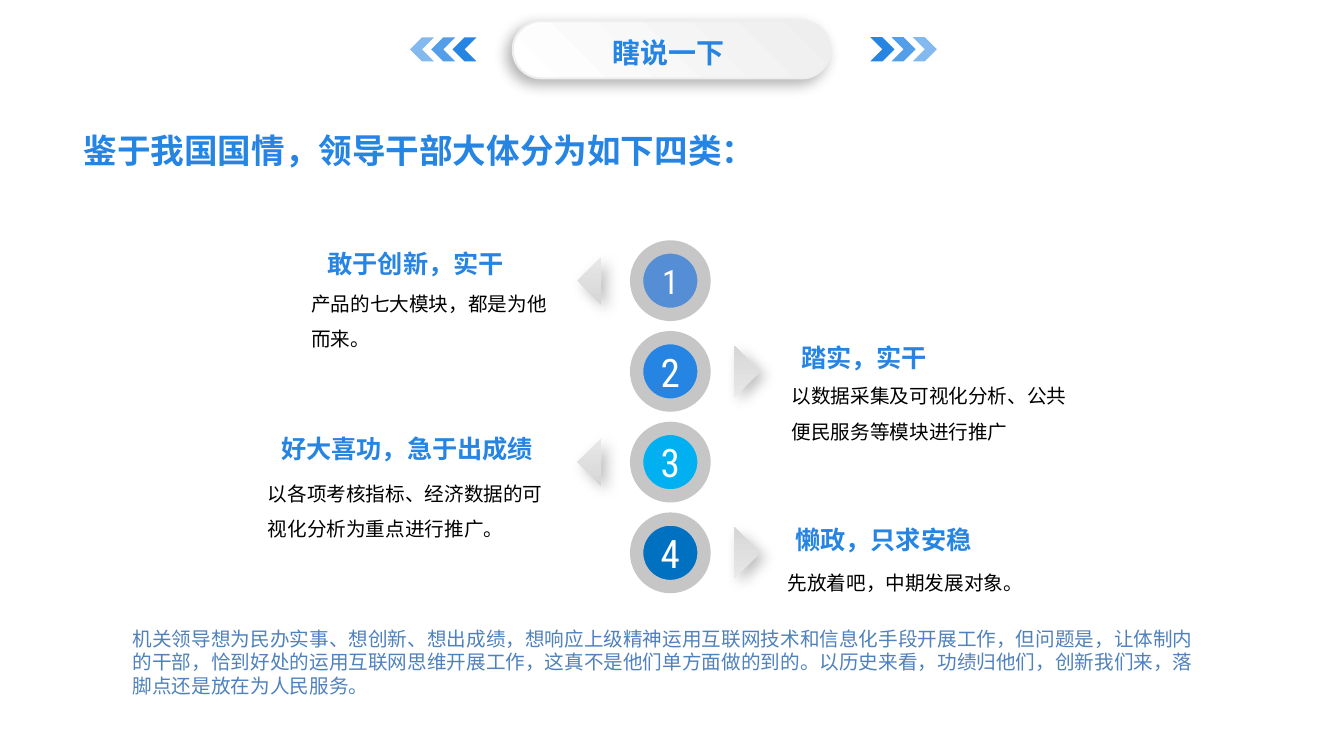
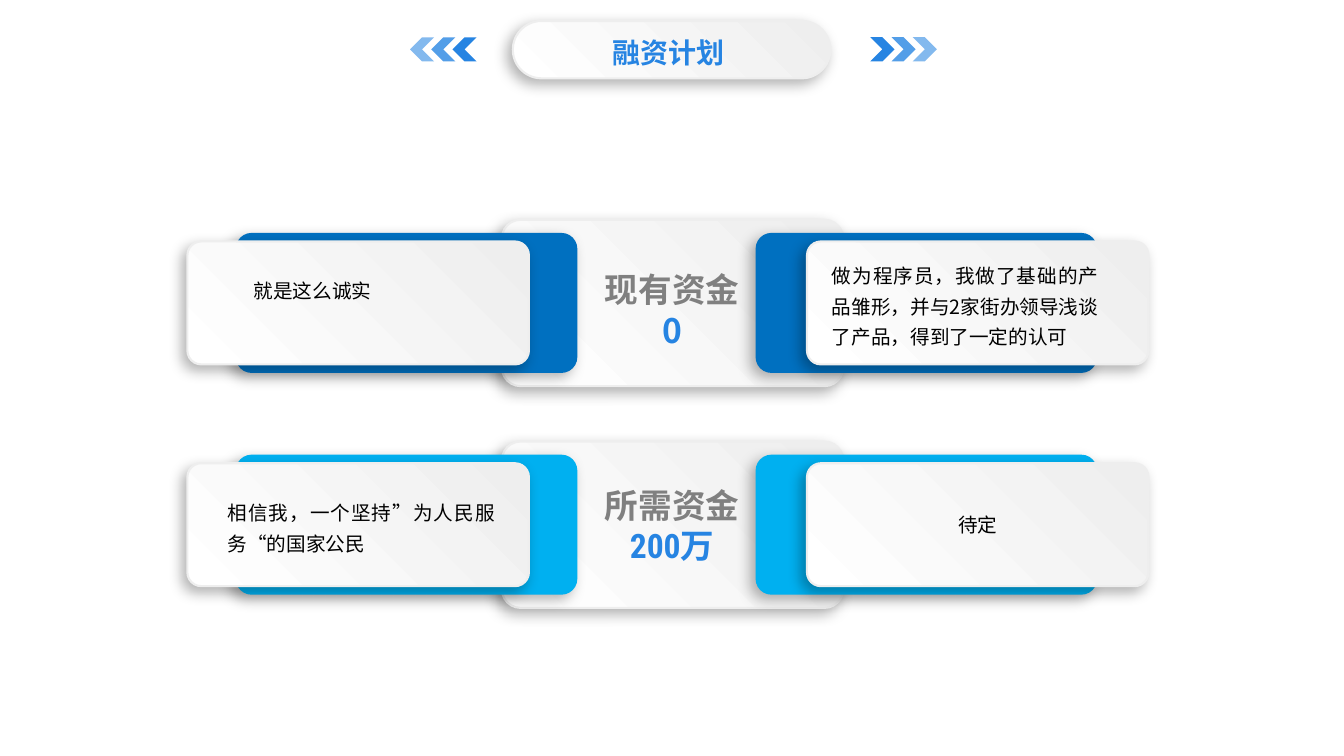
from lxml.etree import SubElement
from pptx import Presentation
from pptx.dml.color import RGBColor
from pptx.enum.lang import MSO_LANGUAGE_ID
from pptx.enum.shapes import MSO_SHAPE
from pptx.enum.text import MSO_ANCHOR, MSO_AUTO_SIZE, PP_ALIGN
from pptx.oxml.ns import qn
from pptx.util import Pt

COLORS = {
    "blue": "2684E2", "soft": "558ED5", "sky": "00B0F0", "deep": "0070C0",
    "note": "4F81BD", "gray": "808080", "ring": "C6C6C6", "edge": "EEEEEE",
    "white": "FFFFFF", "black": "000000", "arrow_light": "E8E8E8", "arrow_dark": "D6D6D6",
}
CHINESE, NUMERIC, BODY, NOTE = "Noto Sans CJK SC", "Roboto Condensed", "Roboto", "Calibri"
DEFAULT_INSETS, TIGHT_INSETS = (7.2, 3.6), (5, 3)
CORNER = 0.113


def rgb(name):
    return RGBColor.from_string(COLORS[name])


def write(paragraph, text, size=14, color="black", font=CHINESE, bold=False,
          align=PP_ALIGN.LEFT, spacing=1.0):
    """Fill one paragraph with formatted text."""
    paragraph.alignment = align
    paragraph.line_spacing = spacing
    run = paragraph.add_run()
    run.text = text
    run.font.size, run.font.bold, run.font.name = Pt(size), bold, font
    run.font.color.rgb = rgb(color)
    run.font.language_id = MSO_LANGUAGE_ID.SIMPLIFIED_CHINESE
    SubElement(run.font._element, qn("a:ea"), typeface=CHINESE)


class Deck:
    def __init__(self):
        self.presentation = Presentation()
        self.presentation.slide_width = Pt(960.5)
        self.presentation.slide_height = Pt(540)
        self.slide = None

    # Slide with its title band
    def new_slide(self, title, font=CHINESE):
        self.slide = self.presentation.slides.add_slide(self.presentation.slide_layouts[5])
        self.panel(366.5, 15, 227, 41, corner=0.5)
        self.chevrons(622, 15.15, 0)
        self.chevrons(323.3, -15.15, 180)
        shape = self.slide.shapes.title
        self.slide.shapes.element.append(shape.element)  # bring above the band
        shape.left, shape.top, shape.width, shape.height = map(Pt, (395.3, 22.3, 165.6, 29.5))
        self.frame(shape, TIGHT_INSETS)
        write(shape.text_frame.paragraphs[0], title, size=20, color="blue", font=font,
              bold=True, align=PP_ALIGN.CENTER)

    def chevrons(self, left, step, rotation):
        group = self.slide.shapes.add_group_shape()
        for index, alpha in enumerate((100, 79, 57)):
            shape = self.shape(MSO_SHAPE.CHEVRON, left + index * step, 26.6, 17.3, 17.3,
                               fill="blue", shapes=group.shapes)
            shape.rotation = rotation
            if alpha < 100:
                color = shape.fill._xPr.find(qn("a:solidFill"))[0]
                SubElement(color, qn("a:alpha"), val=str(alpha * 1000))

    # Basic elements
    def shape(self, kind, left, top, width, height, fill, angle=0, line=None, line_width=1.5,
              shapes=None):
        """A preset shape; a pair of colours makes a gradient, angle clockwise."""
        shapes = shapes or self.slide.shapes
        shape = shapes.add_shape(kind, Pt(left), Pt(top), Pt(width), Pt(height))
        shape.shadow.inherit = False
        if isinstance(fill, tuple):
            shape.fill.gradient()
            shape.fill.gradient_angle = 360 - angle
            for stop, color in zip(shape.fill.gradient_stops, fill):
                stop.color.rgb = rgb(color)
        else:
            shape.fill.solid()
            shape.fill.fore_color.rgb = rgb(fill)
        if line:
            shape.line.color.rgb = rgb(line)
            shape.line.width = Pt(line_width)
        else:
            shape.line.fill.background()
        return shape

    def cast_shadow(self, shape, alpha, direction):
        effects = shape._element.spPr.find(qn("a:effectLst"))
        shadow = SubElement(effects, qn("a:outerShdw"), blurRad=str(Pt(10)), dist=str(Pt(5)),
                            dir=str(direction * 60000), algn="ctr", rotWithShape="0")
        color = SubElement(shadow, qn("a:srgbClr"), val=COLORS["black"])
        SubElement(color, qn("a:alpha"), val=str(alpha * 1000))

    def panel(self, left, top, width, height, fill=("edge", "white"), line="edge",
              corner=CORNER):
        shape = self.shape(MSO_SHAPE.ROUNDED_RECTANGLE, left, top, width, height, fill,
                           angle=135, line=line)
        shape.adjustments[0] = corner
        self.cast_shadow(shape, 30, 135)
        return shape

    def frame(self, shape, insets=DEFAULT_INSETS, anchor=MSO_ANCHOR.TOP, wrap=True):
        frame = shape.text_frame
        frame.auto_size = MSO_AUTO_SIZE.NONE
        frame.word_wrap = wrap
        frame.vertical_anchor = anchor
        frame.margin_left = frame.margin_right = Pt(insets[0])
        frame.margin_top = frame.margin_bottom = Pt(insets[1])
        return frame

    def text(self, box, text, insets=DEFAULT_INSETS, anchor=MSO_ANCHOR.TOP, wrap=True,
             **style):
        shape = self.slide.shapes.add_textbox(*map(Pt, box))
        frame = self.frame(shape, insets, anchor, wrap)
        write(frame.paragraphs[0], text, **style)
        return frame

    # Numbered circle
    def badge(self, number, top, fill, size):
        shape = self.shape(MSO_SHAPE.OVAL, 455, top, 48.2, 48.2, fill, line="ring",
                           line_width=9.5)
        frame = self.frame(shape, (0, 0), MSO_ANCHOR.MIDDLE)
        write(frame.paragraphs[0], str(number), size=size, color="white", font=NUMERIC,
              align=PP_ALIGN.CENTER)

    # Triangle pointing away from a circle
    def pointer(self, middle, to_right):
        center, size, rotation = (524.9, 25.9, 225) if to_right else (429.5, 23.8, 45.3)
        shape = self.shape(MSO_SHAPE.RIGHT_TRIANGLE, center - size / 2, middle - size / 2,
                           size, size, ("arrow_light", "arrow_dark"), angle=45)
        shape.rotation = rotation
        self.cast_shadow(shape, 25, 45)

    # Row of a centre panel with a tab and a card on each side
    def fund_row(self, top, color, label, amount, amount_font, label_top):
        self.panel(358.6, top, 244.1, 118.8)
        style = dict(size=24, bold=True, align=PP_ALIGN.CENTER)
        frame = self.text((395.3, label_top, 170, 63.4), label, TIGHT_INSETS, color="gray",
                          **style)
        write(frame.add_paragraph(), amount, color="blue", font=amount_font, **style)
        cards = []
        for tab_left, card_left in ((540, 576.7), (168.5, 133.9)):
            self.panel(tab_left, top + 9.4, 244.1, 100, fill=color, line=None)
            cards.append(self.panel(card_left, top + 15.5, 244.1, 87.8))
        return cards


def build_types(deck):
    deck.new_slide("瞎说一下")
    deck.text((52.6, 89.3, 668.9, 36), "鉴于我国国情，领导干部大体分为如下四类：", size=24,
              color="blue", bold=True)
    # Fill, number size, heading and its box, description and its box
    types = [
        ("soft", 24, "敢于创新，实干", (210.2, 173.5, 157, 28.8),
         "产品的七大模块，都是为他而来。", (215.3, 195.8, 187.9, 58.3)),
        ("blue", 28, "踏实，实干", (565.2, 241.2, 104.4, 28.8),
         "以数据采集及可视化分析、公共便民服务等模块进行推广", (558.7, 262.1, 213.8, 58.3)),
        ("sky", 28, "好大喜功，急于出成绩", (193.7, 306, 194.4, 28.8),
         "以各项考核指标、经济数据的可视化分析为重点进行推广。", (184.3, 331.9, 221, 58.3)),
        ("deep", 28, "懒政，只求安稳", (560.9, 370.8, 140.4, 28.8),
         "先放着吧，中期发展对象。", (555.8, 396, 187.9, 32.4)),
    ]
    for index, (fill, size, heading, heading_box, body, body_box) in enumerate(types):
        top = 176.4 + index * 64.8
        deck.pointer(top + 24.1, to_right=index % 2 == 1)
        deck.badge(index + 1, top, fill, size)
        deck.text(heading_box, heading, wrap=False, size=18, color="blue", bold=True,
                  align=PP_ALIGN.RIGHT)
        deck.text(body_box, body, anchor=MSO_ANCHOR.MIDDLE, font=BODY, spacing=1.5)
    deck.text((87.8, 444.2, 783.4, 58.3),
              "机关领导想为民办实事、想创新、想出成绩，想响应上级精神运用互联网技术和信息化手段"
              "开展工作，但问题是，让体制内的干部，恰到好处的运用互联网思维开展工作，这真不是"
              "他们单方面做的到的。以历史来看，功绩归他们，创新我们来，落脚点还是放在为人民服务。",
              color="note", font=NOTE)


def build_funds(deck):
    deck.new_slide("融资计划", font=NUMERIC)
    deck.fund_row(157, "deep", "现有资金", "0", CHINESE, 189.4)
    right_card, _ = deck.fund_row(315.4, "sky", "所需资金", "200万", NUMERIC, 343.4)
    # Card texts
    frame = deck.frame(right_card, anchor=MSO_ANCHOR.MIDDLE)
    write(frame.paragraphs[0], "待定", align=PP_ALIGN.CENTER)
    for box, text in (
        ((587.5, 180, 204.5, 73.4),
         "做为程序员，我做了基础的产品雏形，并与2家街办领导浅谈了产品，得到了一定的认可"),
        ((174.2, 190.8, 187.2, 29.5), "就是这么诚实"),
        ((155.5, 349.2, 205.2, 51.1), "相信我，一个坚持”为人民服务“的国家公民"),
    ):
        deck.text(box, text, align=PP_ALIGN.JUSTIFY, spacing=1.3)


def main():
    deck = Deck()
    build_types(deck)
    build_funds(deck)
    deck.presentation.save("out.pptx")


if __name__ == "__main__":
    main()
